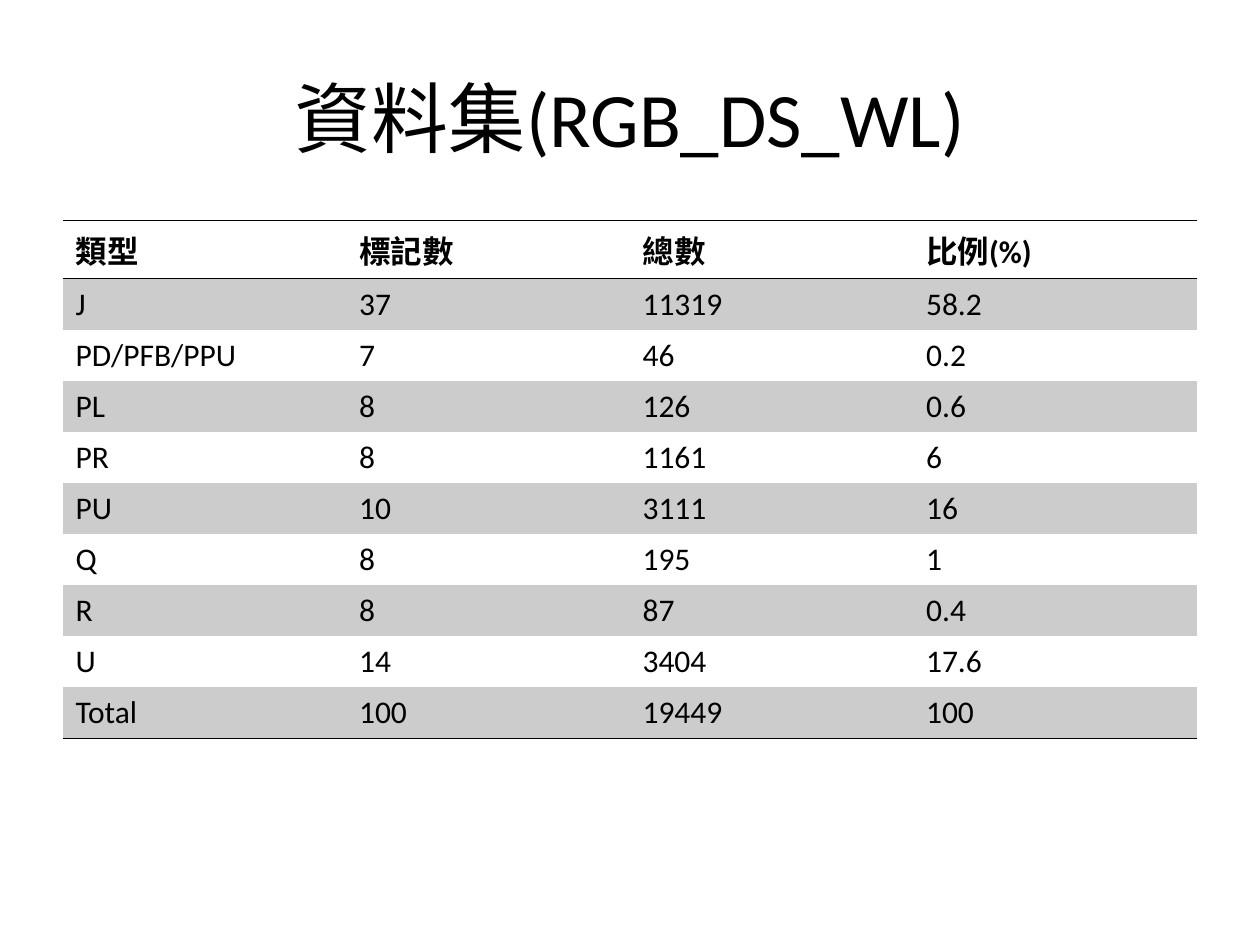
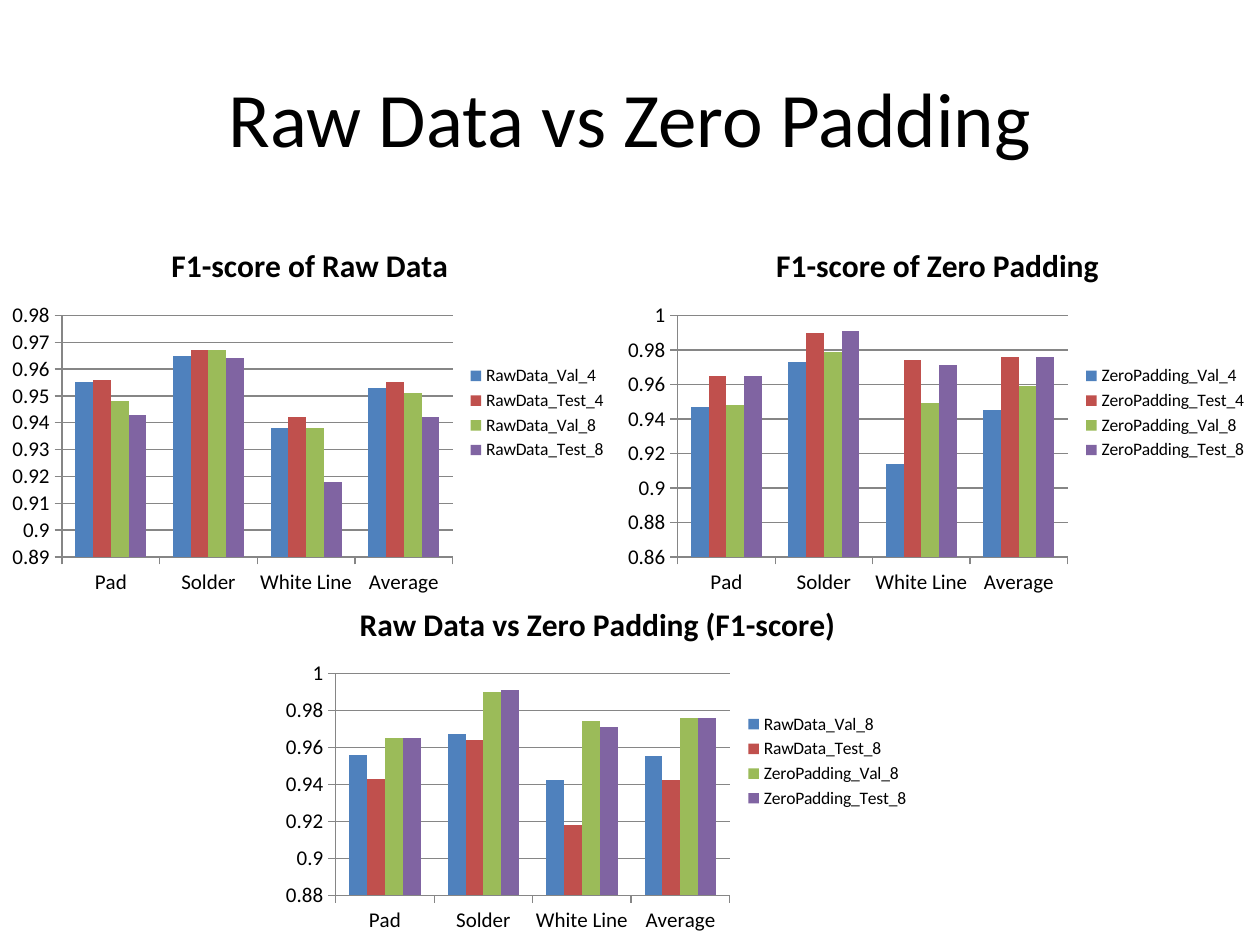
from lxml.etree import SubElement
from pptx import Presentation
from pptx.chart.data import CategoryChartData as ChartData
from pptx.dml.color import RGBColor
from pptx.enum.chart import XL_CHART_TYPE as Kind, XL_LEGEND_POSITION as Side
from pptx.enum.chart import XL_TICK_MARK as Tick
from pptx.enum.text import MSO_ANCHOR as Anchor, PP_ALIGN as Align
from pptx.oxml import parse_xml
from pptx.oxml.ns import qn
from pptx.util import Pt

FONT = "Calibri"
BLACK, BAND, GRID = "000000", "CCCCCC", "868686"
HUES = ["4F81BD", "C0504D", "9BBB59", "8064A2"]
PLAIN = "{2D5ABB26-0587-4C30-8999-92F81FD0307C}"  # no style, no grid
CHART_NS = "http://schemas.openxmlformats.org/drawingml/2006/chart"
DRAW_NS = "http://schemas.openxmlformats.org/drawingml/2006/main"

DATA_TITLE = "資料集(RGB_DS_WL)"
ROWS = [
    ("類型", "標記數", "總數", "比例(%)"),
    ("J", "37", "11319", "58.2"),
    ("PD/PFB/PPU", "7", "46", "0.2"),
    ("PL", "8", "126", "0.6"),
    ("PR", "8", "1161", "6"),
    ("PU", "10", "3111", "16"),
    ("Q", "8", "195", "1"),
    ("R", "8", "87", "0.4"),
    ("U", "14", "3404", "17.6"),
    ("Total", "100", "19449", "100"),
]

SCORE_TITLE = "Raw Data vs Zero Padding"
CLASSES = ["Pad", "Solder", "White Line", "Average"]
# F1-scores in thousandths, one list per run
RAW = {
    "RawData_Val_4": [955, 965, 938, 953],
    "RawData_Test_4": [956, 967, 942, 955],
    "RawData_Val_8": [948, 967, 938, 951],
    "RawData_Test_8": [943, 964, 918, 942],
}
ZERO = {
    "ZeroPadding_Val_4": [947, 973, 914, 945],
    "ZeroPadding_Test_4": [965, 990, 974, 976],
    "ZeroPadding_Val_8": [948, 979, 949, 959],
    "ZeroPadding_Test_8": [965, 991, 971, 976],
}
BOTH = {
    "RawData_Val_8": RAW["RawData_Test_4"],
    "RawData_Test_8": RAW["RawData_Test_8"],
    "ZeroPadding_Val_8": ZERO["ZeroPadding_Test_4"],
    "ZeroPadding_Test_8": ZERO["ZeroPadding_Test_8"],
}
# title, runs, (left, top, width, height), (low, high, step)
CHARTS = [
    ("F1-score of Raw Data", RAW, (0, 128, 354, 216), (0.89, 0.98, 0.01)),
    ("F1-score of Zero Padding", ZERO, (351.5, 128, 368.5, 216), (0.86, 1, 0.02)),
    ("Raw Data vs Zero Padding (F1-score)", BOTH, (156, 333, 371, 204), (0.88, 1, 0.02)),
]


def color(code):
    return RGBColor.from_string(code)


def style(font, size, bold=False):
    font.name, font.size, font.bold = FONT, Pt(size), bold
    font.color.rgb = color(BLACK)


def write(frame, text, size=18, bold=False, align=Align.LEFT):
    para = frame.paragraphs[0]
    para.alignment = align
    run = para.add_run()
    run.text = text
    style(run.font, size, bold)


def add_slide(deck, text):
    slide = deck.slides.add_slide(deck.slide_layouts[5])
    title = slide.shapes.title
    title.left, title.top, title.width, title.height = map(Pt, (36, 21.6, 648, 90))
    title.text_frame.vertical_anchor = Anchor.MIDDLE
    write(title.text_frame, text, size=44, align=Align.CENTER)
    return slide


def rule(cell, side):
    """Draw a thin black border on one side: T or B."""
    line = SubElement(cell._tc.get_or_add_tcPr(), qn("a:ln" + side), w=str(Pt(1)))
    fill = SubElement(line, qn("a:solidFill"))
    SubElement(fill, qn("a:srgbClr"), val=BLACK)


def add_grid(slide, rows):
    frame = slide.shapes.add_table(
        len(rows), len(rows[0]), Pt(36), Pt(126), Pt(648), Pt(29.2 * len(rows)))
    table = frame.table
    table._tbl.tblPr.find(qn("a:tableStyleId")).text = PLAIN
    for r, row in enumerate(rows):
        for c, text in enumerate(row):
            cell = table.cell(r, c)
            write(cell.text_frame, text, bold=r == 0)
            if r == 0:
                rule(cell, "T")
            if r in (0, len(rows) - 1):
                rule(cell, "B")
            if r % 2:
                cell.fill.solid()
                cell.fill.fore_color.rgb = color(BAND)
            else:
                cell.fill.background()


def clear_back(chart):
    """Make the chart area transparent and borderless."""
    area = parse_xml(
        f'<c:spPr xmlns:c="{CHART_NS}" xmlns:a="{DRAW_NS}">'
        "<a:noFill/><a:ln><a:noFill/></a:ln></c:spPr>")
    chart._chartSpace.find(qn("c:txPr")).addprevious(area)


def add_bars(slide, title, runs, box, scale):
    data = ChartData()
    data.categories = CLASSES
    for name, marks in runs.items():
        data.add_series(name, [mark / 1000 for mark in marks])
    chart = slide.shapes.add_chart(Kind.COLUMN_CLUSTERED, *map(Pt, box), data).chart
    style(chart.font, 10)
    clear_back(chart)
    chart.has_title = True
    write(chart.chart_title.text_frame, title, bold=True, align=Align.CENTER)
    chart.chart_title.include_in_layout = False

    chart.has_legend = True
    chart.legend.position = Side.RIGHT
    chart.legend.include_in_layout = False
    style(chart.legend.font, 10)

    plot = chart.plots[0]
    plot.gap_width, plot.overlap, plot.vary_by_categories = 150, 0, False
    for bars, hue in zip(plot.series, HUES):
        bars.format.fill.solid()
        bars.format.fill.fore_color.rgb = color(hue)

    axis = chart.value_axis
    axis.minimum_scale, axis.maximum_scale, axis.major_unit = scale
    axis.has_major_gridlines = True
    axis.tick_labels.number_format = "General"
    axis.tick_labels.number_format_is_linked = False
    for each in (axis, chart.category_axis):
        each.major_tick_mark = Tick.OUTSIDE
        style(each.tick_labels.font, 12)
    for part in (axis, chart.category_axis, axis.major_gridlines):
        part.format.line.color.rgb = color(GRID)
        part.format.line.width = Pt(0.75)


def main():
    deck = Presentation()
    deck.slide_width, deck.slide_height = Pt(720), Pt(540)
    add_grid(add_slide(deck, DATA_TITLE), ROWS)
    slide = add_slide(deck, SCORE_TITLE)
    for chart in CHARTS:
        add_bars(slide, *chart)
    deck.save("out.pptx")


if __name__ == "__main__":
    main()
